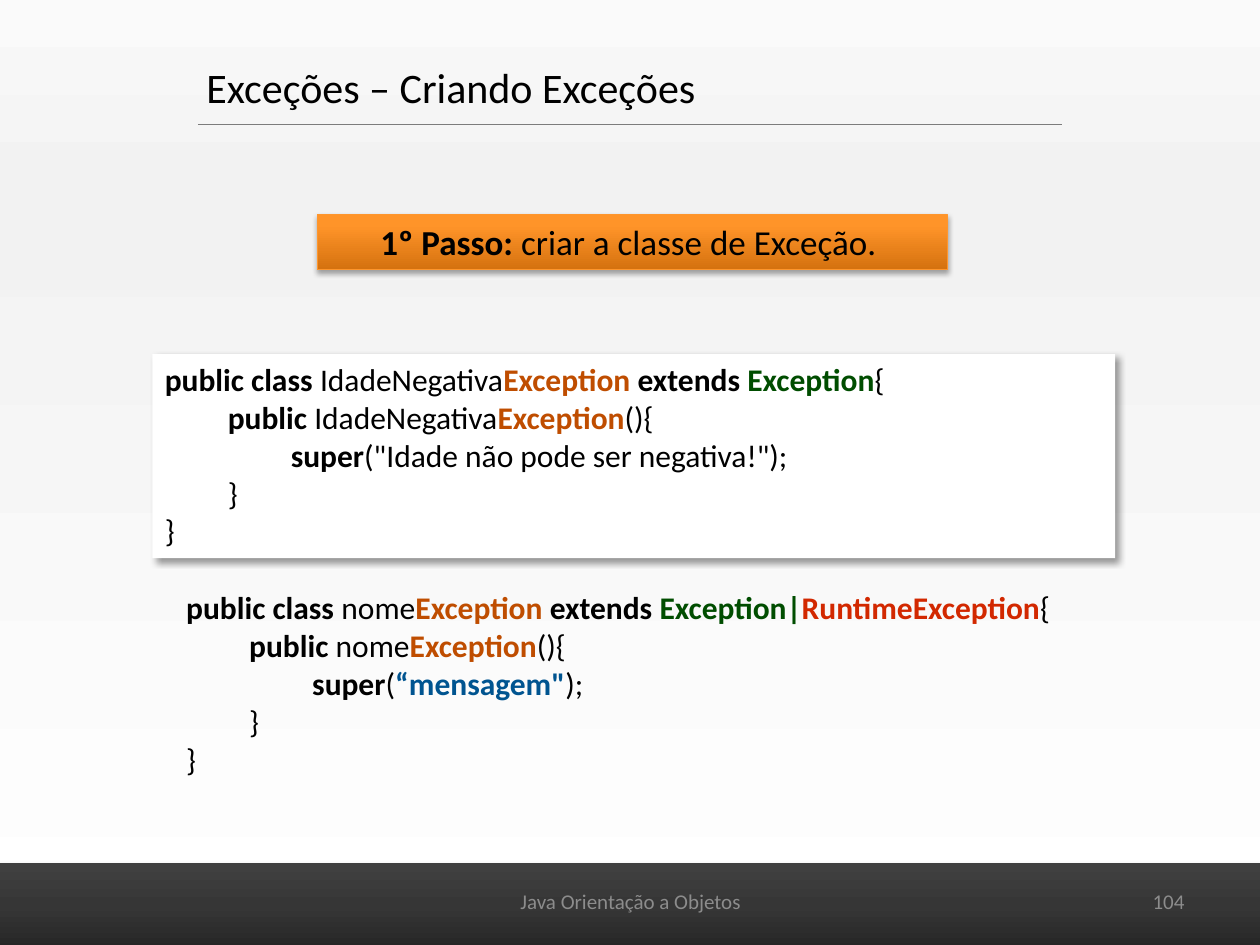
from lxml.etree import SubElement
from pptx import Presentation
from pptx.dml.color import RGBColor
from pptx.enum.shapes import MSO_CONNECTOR as Connector, MSO_SHAPE as Shape
from pptx.enum.text import MSO_ANCHOR as Anchor, MSO_AUTO_SIZE as AutoSize, PP_ALIGN as Align
from pptx.oxml.ns import qn
from pptx.util import Inches, Pt

WIDTH, HEIGHT = Inches(10), Inches(7.5)
BLACK, GREY, ORANGE, GREEN = "000000", "8C8C8C", "BF4D00", "004D00"
RED, BLUE, WHITE = "D22800", "005490", "FFFFFF"


def colour(code):
    return RGBColor.from_string(code)


def place(left, top, width, height):
    """Turn percentages of the slide's size into lengths."""
    return [round(share * side / 100) for share, side in
            zip((left, top, width, height), (WIDTH, HEIGHT) * 2)]


def set_gradient(fill, element, stops, angle):
    """Fill with (position, colour) stops; the angle runs counter-clockwise."""
    fill.gradient()
    fill.gradient_angle = angle
    stop_list = next(element.iter(qn("a:gsLst")))
    stop_list.clear()
    for position, code in stops:
        stop = SubElement(stop_list, qn("a:gs"), pos=str(position * 1000))
        SubElement(stop, qn("a:srgbClr"), val=code)


def set_shadow(shape, opacity, blur, distance, angle):
    shape.shadow.inherit = False
    effects = shape.element.spPr.find(qn("a:effectLst"))
    shadow = SubElement(effects, qn("a:outerShdw"), blurRad=str(Pt(blur)),
                        dist=str(Pt(distance)), dir=str(angle * 60000),
                        algn="ctr", rotWithShape="0")
    black = SubElement(shadow, qn("a:srgbClr"), val=BLACK)
    SubElement(black, qn("a:alpha"), val=str(opacity * 1000))


def add_panel(page, area, fill, shadow, line=None):
    """Add a shadowed rectangle; fill is a colour or a list of stops."""
    panel = page.shapes.add_shape(Shape.RECTANGLE, *place(*area))
    if isinstance(fill, str):
        panel.fill.solid()
        panel.fill.fore_color.rgb = colour(fill)
    else:
        set_gradient(panel.fill, panel.element, fill, 90)
    if line:
        panel.line.color.rgb = colour(line)
        panel.line.width = Pt(0.75)
    else:
        panel.line.fill.background()
    set_shadow(panel, *shadow)
    return panel


def write(box, lines, size, align=Align.LEFT, anchor=Anchor.TOP, wrap=True, grow=True):
    """Write lines of (text, colour, bold) runs into a box."""
    frame = box.text_frame
    frame.word_wrap = wrap
    frame.vertical_anchor = anchor
    frame.auto_size = AutoSize.SHAPE_TO_FIT_TEXT if grow else AutoSize.NONE
    for index, line in enumerate(lines):
        para = frame.add_paragraph() if index else frame.paragraphs[0]
        para.alignment = align
        for text, code, bold in line:
            span = para.add_run()
            span.text = text
            span.font.name = "Calibri"
            span.font.size = Pt(size)
            span.font.bold = bold
            span.font.color.rgb = colour(code)


def add_text(page, area, *content, **style):
    write(page.shapes.add_textbox(*place(*area)), *content, **style)


def add_rule(page, left, right, top):
    x, y, length, _ = place(left, top, right - left, 0)
    rule = page.shapes.add_connector(Connector.STRAIGHT, x, y, x + length, y)
    rule.line.color.rgb = colour("7C7C7C")
    rule.line.width = Pt(0.75)
    SubElement(rule.element.spPr, qn("a:effectLst"))


def plain(text):
    return text, BLACK, False


def strong(text, code=BLACK):
    return text, code, True


def exception_class(name, parents, argument):
    """Lines of a Java exception class whose constructor calls super."""
    return [
        [strong("public class "), plain(name), strong("Exception ", ORANGE),
         strong("extends "), *parents, plain("{")],
        [plain("\t"), strong("public "), plain(name),
         strong("Exception", ORANGE), plain("(){")],
        [plain("\t\t"), strong("super"), plain("("), argument, plain(");")],
        [plain("\t}")],
        [plain("}")],
    ]


def main():
    deck = Presentation()
    deck.slide_width, deck.slide_height = WIDTH, HEIGHT
    page = deck.slides.add_slide(deck.slide_layouts[6])
    soft_shadow = (35, 3.1, 1.8, 90)

    # Background and footer band
    set_gradient(page.background.fill, page.element,
                 [(0, "FAFAFA"), (20, "F2F2F2"), (100, WHITE)], 270)
    add_panel(page, (-1.2, 91.33, 102.4, 9.07),
              [(0, "262626"), (50, "363636"), (100, "404040")], soft_shadow)

    # Title and its rule
    add_rule(page, 15.7, 84.3, 13.2)
    add_text(page, (15.4, 5.87, 41.2, 6.67),
             [[plain("Exceções – Criando Exceções")]], 24, wrap=False)

    # Footer text
    for left, width, text, align in ((71.7, 23.3, "104", Align.RIGHT),
                                     (34.2, 31.7, "Java Orientação a Objetos", Align.CENTER)):
        add_text(page, (left, 92.67, width, 5.33), [[(text, GREY, False)]], 12,
                 align=align, anchor=Anchor.MIDDLE, grow=False)

    # Step banner
    banner = add_panel(page, (25.2, 22.67, 50, 5.87),
                       [(0, "D5720F"), (80, "FF9429"), (100, "FF952B")],
                       soft_shadow, line="FE962D")
    write(banner, [[strong("1º Passo: "), plain("criar a classe de Exceção. ")]],
          20, align=Align.CENTER)

    # Example class
    example = add_panel(page, (12.1, 37.47, 76.4, 21.6), WHITE, (40, 4, 3, 45))
    write(example, exception_class("IdadeNegativa", [strong("Exception", GREEN)],
                                   plain('"Idade não pode ser negativa!"')), 18)

    # General form of the class
    parents = [strong("Exception|", GREEN), strong("RuntimeException", RED)]
    add_text(page, (13.8, 61.6, 73, 21.6),
             exception_class("nome", parents, strong('“mensagem"', BLUE)), 18)

    deck.save("out.pptx")


if __name__ == "__main__":
    main()
